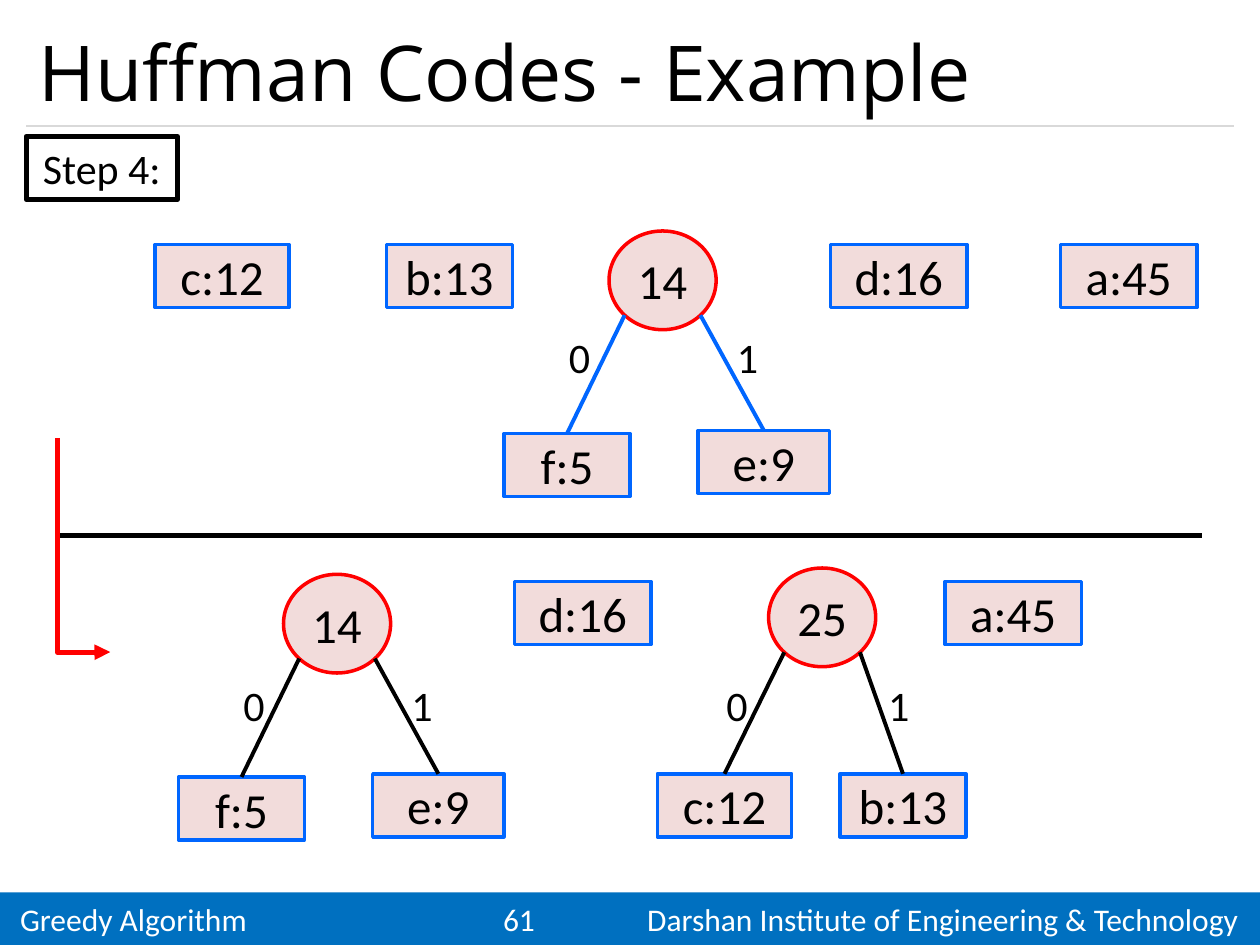
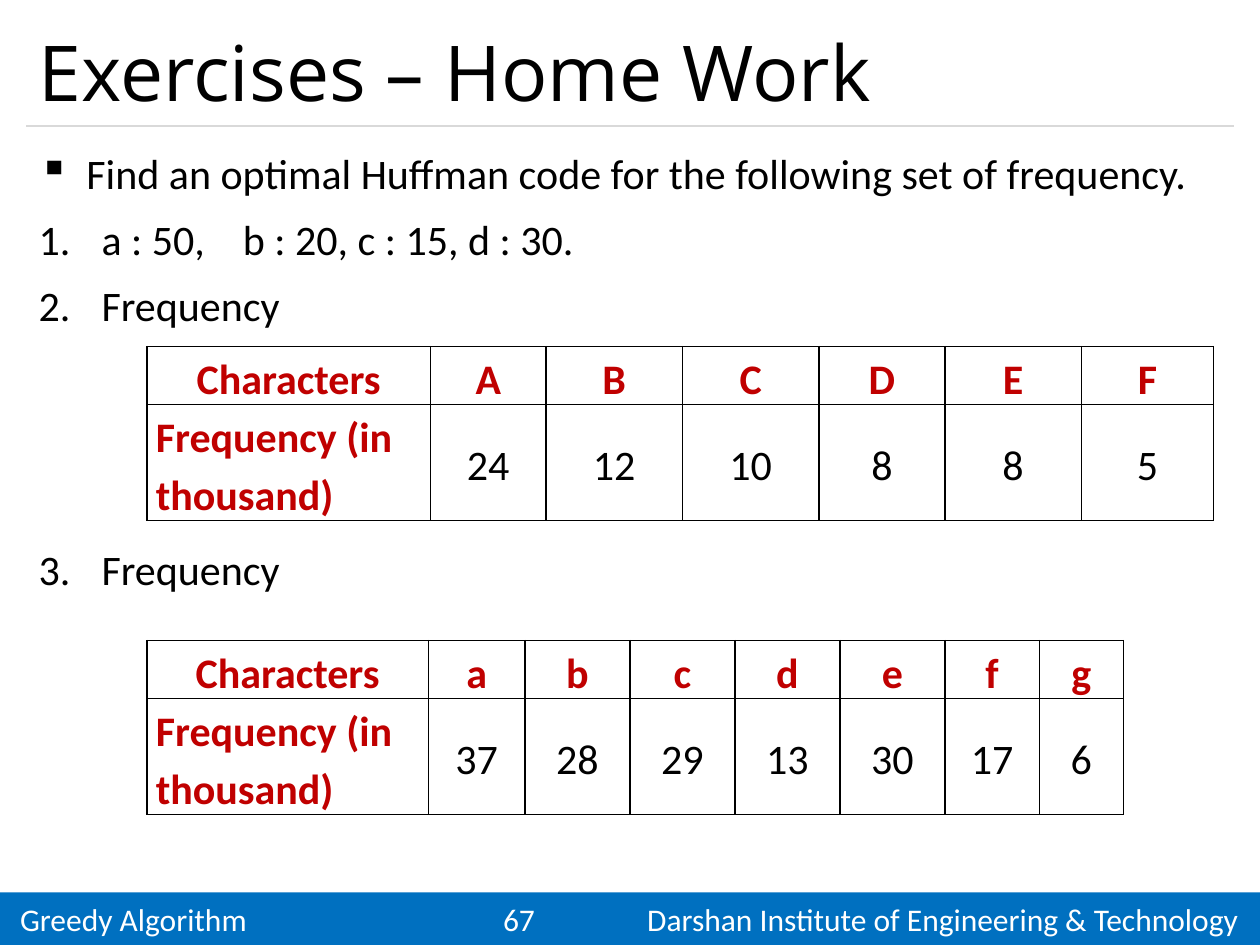
from dataclasses import dataclass
from typing import Any

from pptx import Presentation
from pptx.dml.color import RGBColor
from pptx.enum.shapes import MSO_CONNECTOR as Line, MSO_SHAPE as Shape
from pptx.enum.text import MSO_ANCHOR as Anchor, PP_ALIGN as Align
from pptx.oxml.ns import qn
from pptx.oxml.xmlchemy import OxmlElement
from pptx.util import Emu, Inches, Pt

# Grid: 120 columns by 90 rows on a 10 x 7.5 inch slide
COLUMNS, ROWS = 120, 90
WIDTH, HEIGHT = Inches(10), Inches(7.5)
UNIT = WIDTH / COLUMNS

BLACK, WHITE, BAND, RULE = "000000", "FFFFFF", "0070C0", "D9D9D9"
NODE_FILL, BLUE, RED, HEADING = "F2DCDB", "0066FF", "FF0000", "C00000"
BODY_FONT, TITLE_FONT = "Calibri", "Open Sans"
MARGIN, CONTENT_WIDTH = 2.5, 115
NODE_HEIGHT, CIRCLE_WIDTH, CIRCLE_HEIGHT = 6, 10.2, 9.4
LEAF_WIDTHS = {"a:45": 13, "b:13": 12, "c:12": 12.8, "d:16": 13, "e:9": 12.5, "f:5": 12}


@dataclass
class Leaf:
    label: str
    column: float
    row: float


@dataclass
class Tree:
    total: str
    column: float
    row: float
    left: Leaf
    right: Leaf
    bit_columns: tuple[float, float]
    bit_row: float
    edge: str = BLACK


@dataclass
class FrequencyTable:
    row: float
    widths: list[float]
    characters: str
    counts: list[int]


@dataclass
class Item:
    text: str
    bullet: tuple[str, str, str] = ("buAutoNum", "type", "arabicPeriod")
    indent: float = 0.5
    before: float = 0


def grid(cells: float) -> Emu:
    return Emu(round(cells * UNIT))


def colour(value: str) -> RGBColor:
    return RGBColor.from_string(value)


def apply(target: Any, **values: Any) -> None:
    for name, value in values.items():
        setattr(target, name, value)


def add_child(parent: Any, tag: str, **attributes: str) -> Any:
    child = OxmlElement(f"a:{tag}")
    for name, value in attributes.items():
        child.set(name, value)
    parent.append(child)
    return child


def add_span(para: Any, text: str, size: float, ink: str = BLACK,
             font: str = BODY_FONT, bold: bool = False) -> Any:
    span = para.add_run()
    span.text = text
    apply(span.font, size=Pt(size), name=font, bold=bold)
    span.font.color.rgb = colour(ink)
    return span


def add_box(page: Any, column: float, row: float, width: float, height: float,
            shape: Any = Shape.RECTANGLE, fill: str = "", line: str = "",
            weight: float = 2) -> Any:
    box = page.shapes.add_shape(shape, *map(grid, (column, row, width, height)))
    box.shadow.inherit = False
    if fill:
        box.fill.solid()
        box.fill.fore_color.rgb = colour(fill)
    else:
        box.fill.background()
    if line:
        box.line.color.rgb = colour(line)
        box.line.width = Pt(weight)
    else:
        box.line.fill.background()
    apply(box.text_frame, vertical_anchor=Anchor.MIDDLE, word_wrap=False)
    return box


def add_label(box: Any, text: str, size: float) -> None:
    para = box.text_frame.paragraphs[0]
    para.alignment = Align.CENTER
    add_span(para, text, size)


def add_text(page: Any, column: float, row: float, width: float, height: float) -> Any:
    box = page.shapes.add_textbox(*map(grid, (column, row, width, height)))
    box.text_frame.word_wrap = True
    return box.text_frame


def add_line(page: Any, start: tuple[float, float], end: tuple[float, float],
             ink: str, weight: float, kind: Any = Line.STRAIGHT) -> Any:
    line = page.shapes.add_connector(kind, *map(grid, (*start, *end)))
    line.line.color.rgb = colour(ink)
    line.line.width = Pt(weight)
    add_child(line._element.spPr, "effectLst")
    return line


def add_page(deck: Any, title: str, number: int) -> Any:
    page = deck.slides.add_slide(deck.slide_layouts[6])
    # Footer band, with a centred and a right-hand tab stop
    band = add_box(page, 0, 85, COLUMNS, 5, fill=BAND)
    apply(band.text_frame, margin_left=Inches(0.16), margin_right=0, word_wrap=True)
    para = band.text_frame.paragraphs[0]
    para.alignment = Align.LEFT
    stops = add_child(para._p.get_or_add_pPr(), "tabLst")
    for place, side in ((3.96, "ctr"), (9.67, "r")):
        add_child(stops, "tab", pos=str(Inches(place)), algn=side)
    add_span(para, f"Greedy Algorithm\t{number}\tDarshan Institute of Engineering & Technology",
             18, WHITE)
    # Title and rule
    add_line(page, (MARGIN, 12), (MARGIN + CONTENT_WIDTH, 12), RULE, 0.75)
    frame = add_text(page, MARGIN, 1.5, CONTENT_WIDTH, 10.5)
    frame.vertical_anchor = Anchor.MIDDLE
    add_span(frame.paragraphs[0], title, 44, font=TITLE_FONT)
    return page


def draw_leaf(page: Any, leaf: Leaf) -> Any:
    box = add_box(page, leaf.column, leaf.row, LEAF_WIDTHS[leaf.label], NODE_HEIGHT,
                  fill=NODE_FILL, line=BLUE)
    add_label(box, leaf.label, 28)
    return box


def draw_tree(page: Any, tree: Tree) -> None:
    circle = add_box(page, tree.column, tree.row, CIRCLE_WIDTH, CIRCLE_HEIGHT,
                     Shape.OVAL, NODE_FILL, RED)
    add_label(circle, tree.total, 28)
    diagonal = 0.5 ** 0.5 / 2
    edge_row = tree.row + CIRCLE_HEIGHT * (0.5 + diagonal)
    branches = zip((-1, 1), (tree.left, tree.right), tree.bit_columns, "01")
    for side, leaf, bit_column, bit in branches:
        box = draw_leaf(page, leaf)
        start = (tree.column + CIRCLE_WIDTH * (0.5 + side * diagonal), edge_row)
        edge = add_line(page, start, (leaf.column, leaf.row), tree.edge, 2.25)
        edge.end_connect(box, 0)
        frame = add_text(page, bit_column, tree.bit_row, 6, 6)
        add_span(frame.paragraphs[0], bit, 24)


def draw_step_arrow(page: Any) -> None:
    arrow = add_line(page, (18.2, 49.4), (-2.2, 54.4), RED, 3, Line.ELBOW)
    properties = arrow._element.spPr
    properties.find(qn("a:xfrm")).set("rot", str(270 * 60000))
    geometry = properties.find(qn("a:prstGeom"))
    for old in geometry.findall(qn("a:avLst")):
        geometry.remove(old)
    add_child(add_child(geometry, "avLst"), "gd", name="adj1", fmla="val 100100")
    add_child(properties.find(qn("a:ln")), "tailEnd", type="triangle")


def draw_items(page: Any, items: list[Item]) -> None:
    frame = add_text(page, MARGIN, 13, CONTENT_WIDTH, 70)
    for index, item in enumerate(items):
        para = frame.add_paragraph() if index else frame.paragraphs[0]
        tag, name, value = item.bullet
        settings = para._p.get_or_add_pPr()
        settings.set("marL", str(Inches(item.indent)))
        settings.set("indent", str(-Inches(item.indent)))
        add_child(settings, tag, **{name: value})
        apply(para, alignment=Align.JUSTIFY, line_spacing=1.1, space_after=Pt(6))
        if item.before:
            para.space_before = Pt(item.before)
        # A tab in the text marks a widened space
        for part_index, part in enumerate(item.text.split("\t")):
            if part_index:
                gap = add_span(para, " ", 24)
                gap.font._element.set("spc", "1630")
            add_span(para, part, 24)


def draw_table(page: Any, data: FrequencyTable) -> None:
    rows = [["Characters", *data.characters],
            ["Frequency (in thousand)", *map(str, data.counts)]]
    heights = (5.5, 11)
    table = page.shapes.add_table(2, len(data.widths), grid(14), grid(data.row),
                                  grid(sum(data.widths)), grid(sum(heights))).table
    apply(table, first_row=False, horz_banding=False)
    for column, width in zip(table.columns, data.widths):
        column.width = grid(width)
    for row_index, texts in enumerate(rows):
        table.rows[row_index].height = grid(heights[row_index])
        for column_index, text in enumerate(texts):
            cell = table.cell(row_index, column_index)
            apply(cell, margin_left=Inches(0.07), margin_right=Inches(0.07), margin_top=0,
                  margin_bottom=0, vertical_anchor=Anchor.MIDDLE if column_index else Anchor.TOP)
            for side in ("lnL", "lnR", "lnT", "lnB"):
                border = add_child(cell._tc.get_or_add_tcPr(), side, w=str(Pt(1)))
                add_child(add_child(border, "solidFill"), "srgbClr", val=BLACK)
            cell.fill.background()
            para = cell.text_frame.paragraphs[0]
            is_count = row_index == 1 and column_index > 0
            is_row_name = row_index == 1 and column_index == 0
            apply(para, line_spacing=1.15, alignment=Align.LEFT if is_row_name else Align.CENTER)
            add_span(para, text, 24, BLACK if is_count else HEADING, bold=not is_count)


def build_example(deck: Any) -> None:
    page = add_page(deck, "Huffman Codes - Example", 61)
    add_label(add_box(page, MARGIN, 13, 14.4, 6, line=BLACK, weight=3), "Step 4:", 24)
    # Nodes before and after the merge
    upper, lower = 23.3, 55.4
    for leaf in (Leaf("c:12", 14.75, upper), Leaf("b:13", 36.8, upper),
                 Leaf("d:16", 79.1, upper), Leaf("a:45", 101, upper),
                 Leaf("d:16", 49, lower), Leaf("a:45", 90, lower)):
        draw_leaf(page, leaf)
    for tree in (
        Tree("14", 58, 22, Leaf("f:5", 48, 41.3), Leaf("e:9", 66.5, 41), (53, 69), 31, BLUE),
        Tree("14", 27, 54.7, Leaf("f:5", 17, 74), Leaf("e:9", 35.5, 73.7), (22, 38), 64.1),
        Tree("25", 73.2, 54.1, Leaf("c:12", 62.6, 73.7), Leaf("b:13", 80, 73.7), (68, 83.4), 64.1),
    ):
        draw_tree(page, tree)
    # Divider and arrow to the next state
    add_line(page, (5.5, 51), (114.5, 51), BLACK, 3)
    draw_step_arrow(page)


def build_exercises(deck: Any) -> None:
    page = add_page(deck, "Exercises – Home Work", 67)
    draw_items(page, [
        Item("Find an optimal Huffman code for the following set of frequency.",
             ("buChar", "char", "▪"), 0.38),
        Item("a : 50,\tb : 20, c : 15, d : 30."),
        Item("Frequency"),
        Item("Frequency", before=113),
    ])
    draw_table(page, FrequencyTable(33, [27, 11, 13, 13, 12, 13, 12.6], "ABCDEF",
                                    [24, 12, 10, 8, 8, 5]))
    draw_table(page, FrequencyTable(61, [26.8, 9.2, 10, 10, 10, 10, 9, 8], "abcdefg",
                                    [37, 28, 29, 13, 30, 17, 6]))


def main() -> None:
    deck = Presentation()
    apply(deck, slide_width=WIDTH, slide_height=HEIGHT)
    build_example(deck)
    build_exercises(deck)
    deck.save("out.pptx")


if __name__ == "__main__":
    main()
